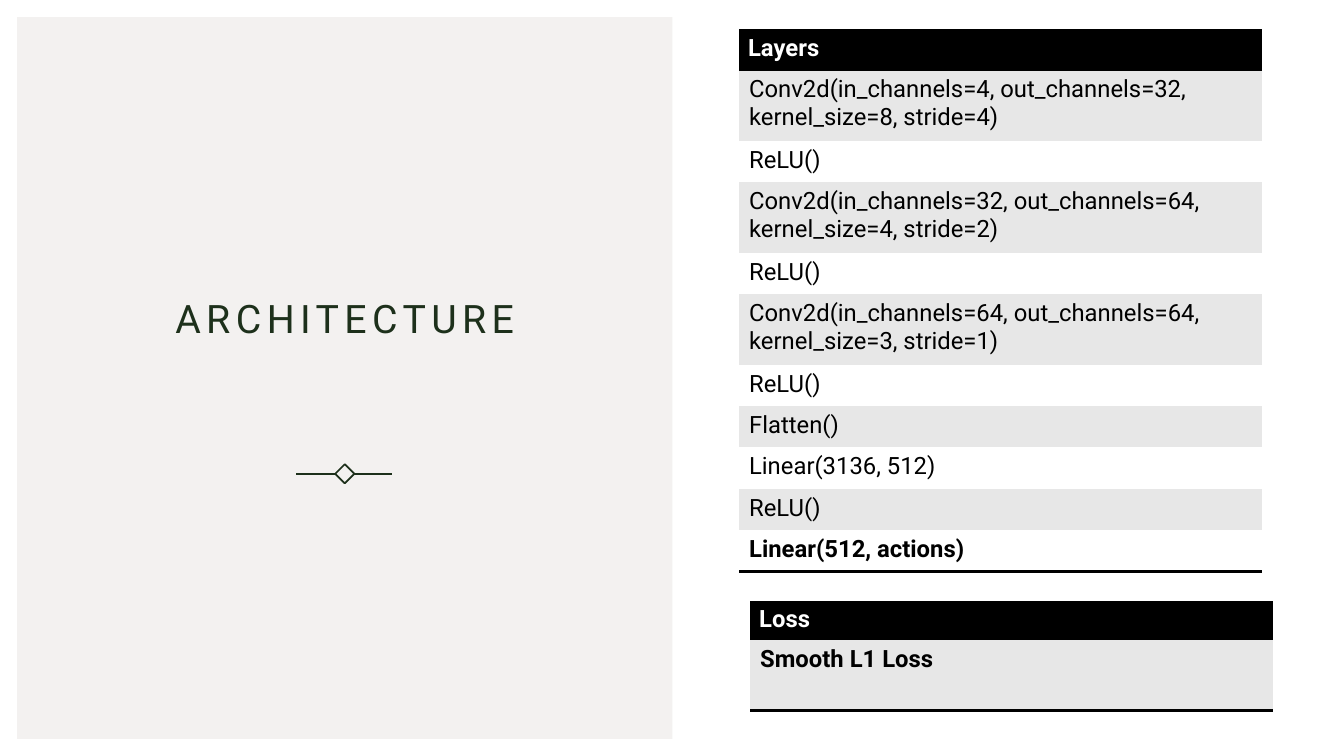
from lxml.etree import SubElement
from pptx import Presentation
from pptx.dml.color import RGBColor
from pptx.enum.shapes import MSO_CONNECTOR, MSO_SHAPE
from pptx.enum.text import MSO_ANCHOR, MSO_AUTO_SIZE, PP_ALIGN
from pptx.oxml import parse_xml
from pptx.oxml.ns import nsdecls, qn
from pptx.util import Inches, Pt

# Content
TITLE = "ARCHITECTURE"
LAYERS = [
    "Layers",
    "Conv2d(in_channels=4, out_channels=32, kernel_size=8, stride=4)",
    "ReLU()",
    "Conv2d(in_channels=32, out_channels=64, kernel_size=4, stride=2)",
    "ReLU()",
    "Conv2d(in_channels=64, out_channels=64, kernel_size=3, stride=1)",
    "ReLU()",
    "Flatten()",
    "Linear(3136, 512)",
    "ReLU()",
    "Linear(512, actions)",
]
LOSS = ["Loss", "Smooth L1 Loss"]

# Style
FONT = "Roboto"
GREEN = RGBColor(0x1D, 0x30, 0x1B)
PANEL = RGBColor(0xF3, 0xF1, 0xF0)
BAND = RGBColor(0xE7, 0xE7, 0xE7)
BLACK = RGBColor(0, 0, 0)
WHITE = RGBColor(0xFF, 0xFF, 0xFF)
NO_STYLE = "{2D5ABB26-0587-4C30-8999-92F81FD0307C}"
SINGLE, DOUBLE = 0.41, 0.7
TABLE_WIDTH = 5.19


def add_rule(slide, left, right, y):
    rule = slide.shapes.add_connector(
        MSO_CONNECTOR.STRAIGHT, Inches(left), Inches(y), Inches(right), Inches(y))
    rule.line.color.rgb = GREEN
    rule.line.width = Pt(1.25)
    SubElement(rule._element.spPr, qn("a:effectLst"))


def add_bottom_border(cell):
    border = parse_xml(
        f'<a:lnB {nsdecls("a")} w="25400"><a:solidFill>'
        f'<a:srgbClr val="{BLACK}"/></a:solidFill></a:lnB>')
    cell._tc.get_or_add_tcPr().insert(0, border)


def add_banded_table(slide, left, top, lines, heights):
    frame = slide.shapes.add_table(
        len(lines), 1, Inches(left), Inches(top),
        Inches(TABLE_WIDTH), Inches(sum(heights)))
    table = frame.table
    table._tbl.tblPr.find(qn("a:tableStyleId")).text = NO_STYLE
    last = len(lines) - 1
    for i, (line, height) in enumerate(zip(lines, heights)):
        table.rows[i].height = Inches(height)
        cell = table.cell(i, 0)
        cell.margin_left = cell.margin_right = Inches(0.1 if i else 0.09)
        cell.fill.solid()
        cell.fill.fore_color.rgb = BLACK if i == 0 else BAND if i % 2 else WHITE
        cell.text = line
        font = cell.text_frame.paragraphs[0].font
        font.name, font.size = FONT, Pt(17)
        font.bold = i in (0, last)
        font.color.rgb = BLACK if i else WHITE
    add_bottom_border(table.cell(last, 0))


def main():
    prs = Presentation()
    prs.slide_width, prs.slide_height = Inches(13.33), Inches(7.5)
    slide = prs.slides.add_slide(prs.slide_layouts[5])

    # Left panel, behind the title
    panel = slide.shapes.add_shape(
        MSO_SHAPE.RECTANGLE, Inches(0.17), Inches(0.17), Inches(6.5), Inches(7.16))
    panel.shadow.inherit = False
    panel.fill.solid()
    panel.fill.fore_color.rgb = PANEL
    panel.line.fill.background()
    title = slide.shapes.title
    title._element.addprevious(panel._element)

    # Title
    title.left, title.top = Inches(0.93), Inches(1.17)
    title.width, title.height = Inches(4.98), Inches(2.27)
    title.text = TITLE
    frame = title.text_frame
    frame.word_wrap = True
    frame.auto_size = MSO_AUTO_SIZE.NONE
    frame.vertical_anchor = MSO_ANCHOR.BOTTOM
    heading = frame.paragraphs[0]
    heading.alignment = PP_ALIGN.CENTER
    heading.line_spacing = 1.1
    heading.space_after = Pt(6)
    heading.font.name, heading.font.size = FONT, Pt(28)
    heading.font.color.rgb = GREEN
    heading.runs[0].font._element.set("spc", "390")

    # Diamond ornament between two rules
    center_x, center_y, diamond_size = 3.42, 4.7, 0.19
    diamond = slide.shapes.add_shape(
        MSO_SHAPE.DIAMOND,
        Inches(center_x - diamond_size / 2), Inches(center_y - diamond_size / 2),
        Inches(diamond_size), Inches(diamond_size))
    diamond.shadow.inherit = False
    diamond.fill.background()
    diamond.line.color.rgb = GREEN
    diamond.line.width = Pt(1.25)
    for near, far in ((-0.09, -0.48), (0.09, 0.47)):
        add_rule(slide, center_x + near, center_x + far, center_y)

    # Tables
    layer_heights = [DOUBLE if line.startswith("Conv2d") else SINGLE for line in LAYERS]
    add_banded_table(slide, 7.33, 0.29, LAYERS, layer_heights)
    add_banded_table(slide, 7.44, 5.96, LOSS, [0.39, DOUBLE])

    prs.save("out.pptx")


if __name__ == "__main__":
    main()
